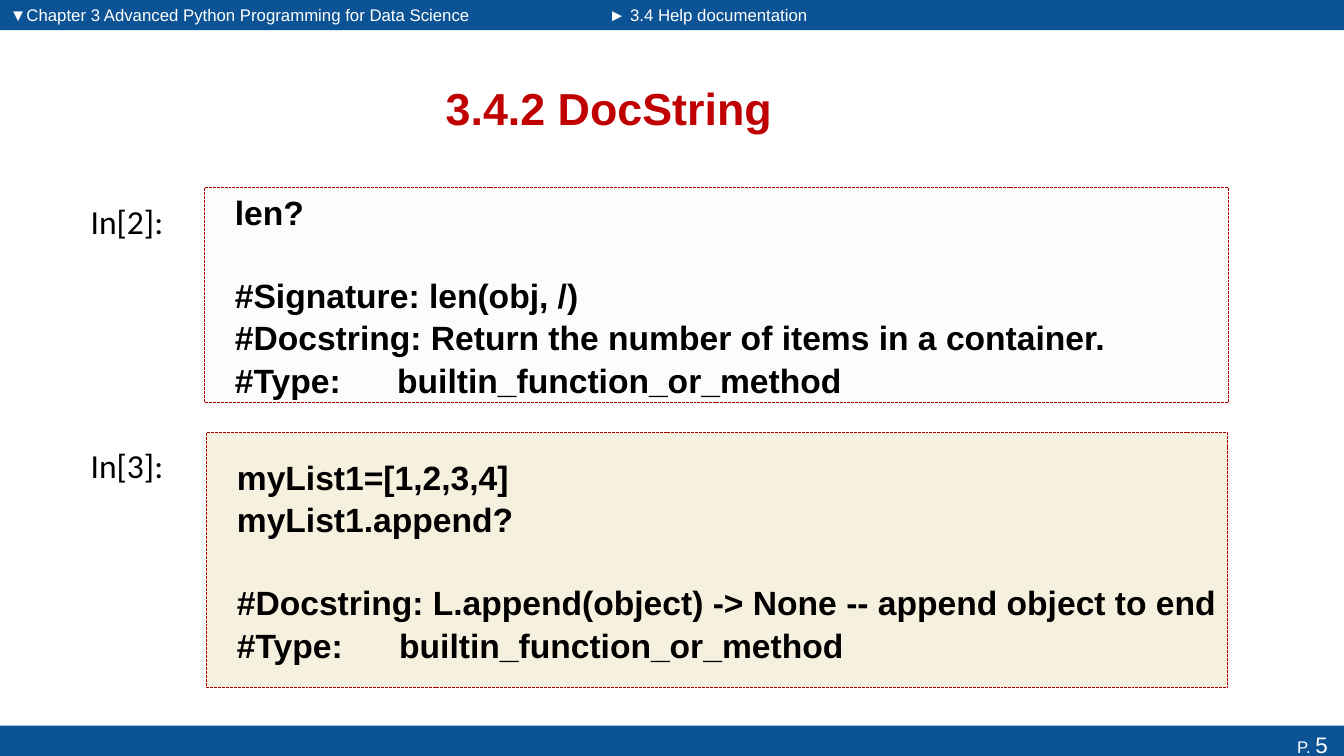
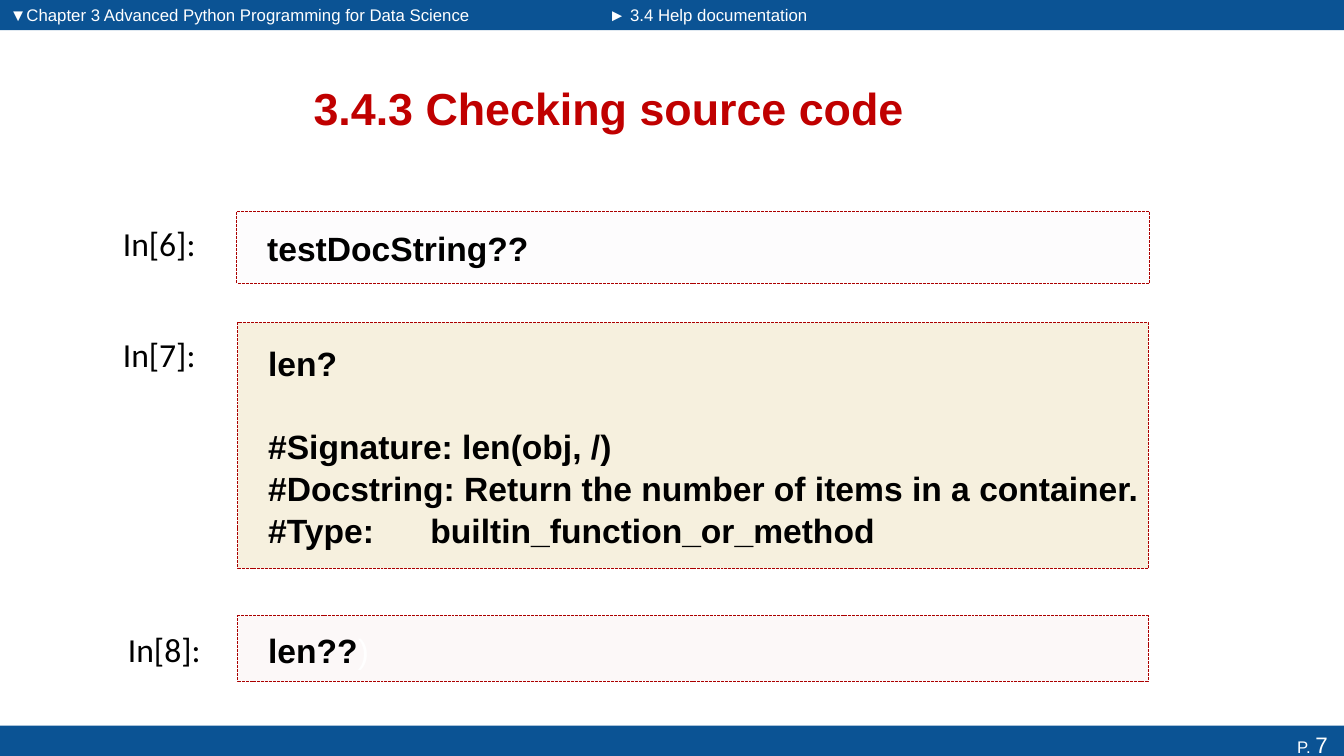
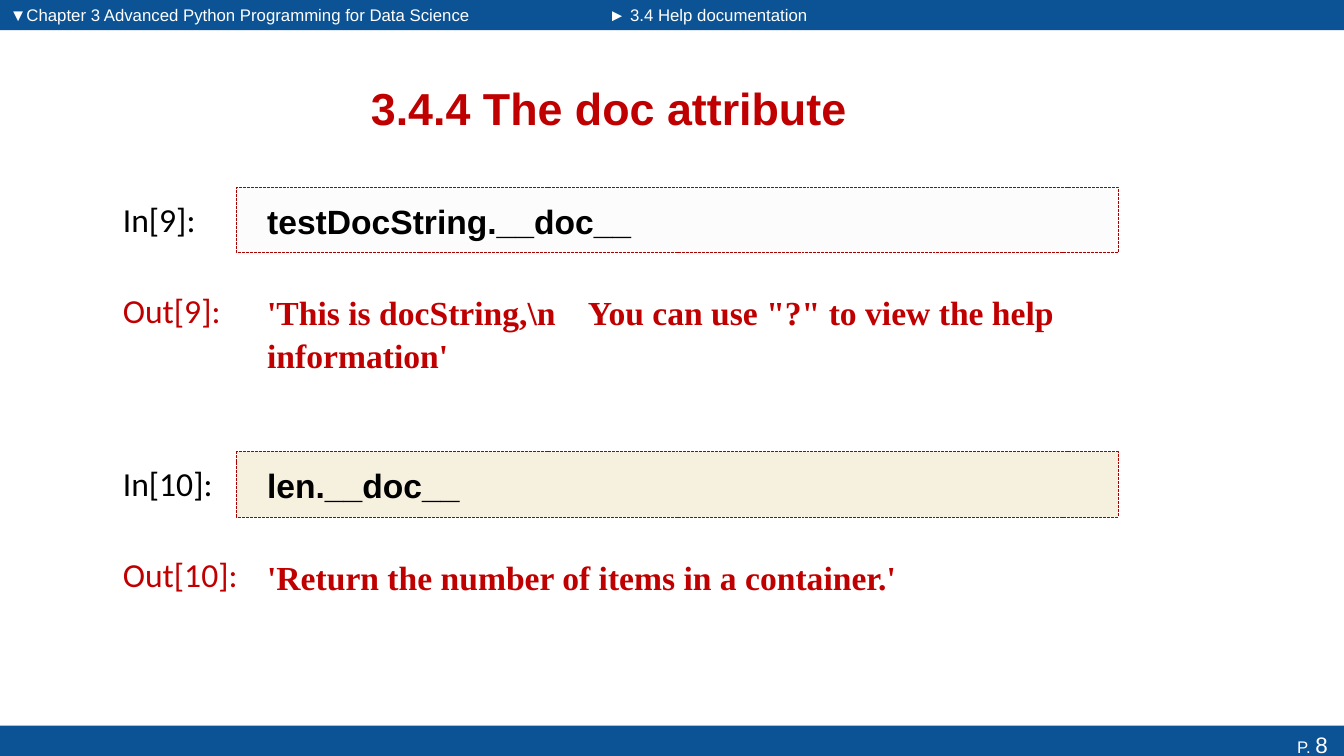
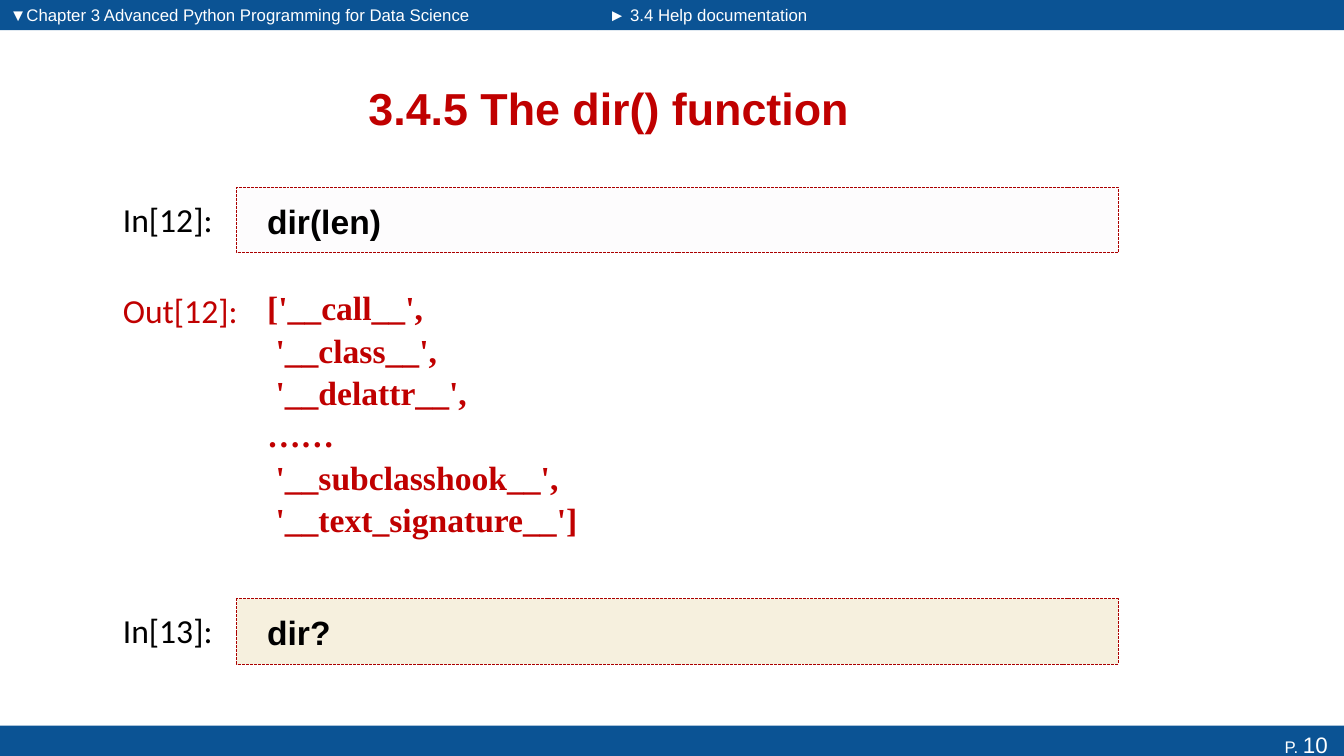
"""Build four slides on Python help documentation."""
from dataclasses import dataclass

from lxml import etree
from pptx import Presentation
from pptx.dml.color import RGBColor
from pptx.enum import dml, shapes, text
from pptx.oxml.ns import qn
from pptx import util as u

BLUE, RED, DARK_RED = "0B5394", "C00000", "AB0000"
BLACK, WHITE = "000000", "FFFFFF"
LILAC, GOLD, ROSE = "F1EEF4", "BF9000", "EDCDCB"
SANS, LABEL_FONT, SERIF = "Arial", "Calibri", "Times New Roman"
CHAPTER = "▼Chapter 3 Advanced Python Programming for Data Science"
SECTION = "► 3.4 Help documentation"
CODE_SIZE, LINE_SPACING, BLANK_LINE = 24, 1.05, 29
TAB_STOP = 1.61
BAND_SPLIT, BAND_HEIGHT = 5.93, 0.3
TOP, MIDDLE = text.MSO_ANCHOR.TOP, text.MSO_ANCHOR.MIDDLE
LEFT, CENTER, RIGHT = text.PP_ALIGN.LEFT, text.PP_ALIGN.CENTER, text.PP_ALIGN.RIGHT


@dataclass(frozen=True)
class Cell:
    """A notebook cell: label, box and lines; an empty line is a gap, no fill means output."""

    label: str
    left: float
    top: float
    width: float
    height: float
    lines: tuple[str, ...]
    fill: str = ""
    label_gap: float = 1.23
    label_drop: float = 0.06
    white_tail: str = ""


@dataclass(frozen=True)
class Page:
    """A titled slide with its page number and cells."""

    number: int
    title: str
    cells: tuple[Cell, ...]


def rgb(value: str) -> RGBColor:
    """Turn a hex string into a colour."""
    return RGBColor.from_string(value)


def add_rect(s, left: float, top: float, width: float, height: float, fill: str):
    """Add a plain filled rectangle."""
    sp = s.shapes.add_shape(shapes.MSO_SHAPE.RECTANGLE, u.Inches(left), u.Inches(top),
                            u.Inches(width), u.Inches(height))
    sp.shadow.inherit = False
    sp.fill.solid()
    sp.fill.fore_color.rgb = rgb(fill)
    sp.line.fill.background()
    return sp


def add_box(s, left: float, top: float, width: float, height: float):
    """Add an empty text box."""
    return s.shapes.add_textbox(u.Inches(left), u.Inches(top), u.Inches(width), u.Inches(height))


def set_frame(sp, anchor=TOP, left_inset: float = 0.1):
    """Set wrapping, anchor and left inset, and return the text frame."""
    tf = sp.text_frame
    tf.word_wrap = True
    tf.vertical_anchor = anchor
    tf.margin_left = u.Inches(left_inset)
    return tf


def add_run(p, content: str, size: float, font: str, color: str, bold: bool = False) -> None:
    """Add one formatted run."""
    r = p.add_run()
    r.text = content
    r.font.size = u.Pt(size)
    r.font.name = font
    r.font.color.rgb = rgb(color)
    r.font.bold = bold


def add_label(s, left: float, top: float, width: float, height: float, content: str, size: float,
              font: str, color: str, bold: bool = False, align=LEFT, anchor=TOP) -> None:
    """Add a text box holding one run."""
    p = set_frame(add_box(s, left, top, width, height), anchor).paragraphs[0]
    p.alignment = align
    add_run(p, content, size, font, color, bold)


def set_alpha(sp, percent: int) -> None:
    """Set the opacity of a solid fill."""
    color = sp.fill._xPr.find(qn("a:solidFill")).find(qn("a:srgbClr"))
    etree.SubElement(color, qn("a:alpha")).set("val", str(percent * 1000))


def add_tab_stop(p, position: float) -> None:
    """Give a paragraph one left tab stop."""
    tabs = etree.SubElement(p._p.get_or_add_pPr(), qn("a:tabLst"))
    tab = etree.SubElement(tabs, qn("a:tab"))
    tab.set("pos", str(u.Inches(position)))
    tab.set("algn", "l")


def add_cell(s, cell: Cell) -> None:
    """Draw a cell's label and its code or output."""
    font, color = (SANS, BLACK) if cell.fill else (SERIF, RED)
    add_label(s, cell.left - cell.label_gap, cell.top + cell.label_drop, 1.35, 0.5,
              cell.label, CODE_SIZE, LABEL_FONT, color)
    area = cell.left, cell.top, cell.width, cell.height
    if cell.fill:
        sp = add_rect(s, *area, cell.fill)
        set_alpha(sp, 13)
        sp.line.color.rgb = rgb(DARK_RED)
        sp.line.width = u.Pt(0.7)
        sp.line.dash_style = dml.MSO_LINE.SQUARE_DOT
    else:
        sp = add_box(s, *area)
    tf = set_frame(sp, MIDDLE, 0.3)
    p, gap = tf.paragraphs[0], 0
    for i, line in enumerate(cell.lines):
        if not line:
            gap = BLANK_LINE
            continue
        p = tf.add_paragraph() if i else p
        p.alignment = LEFT
        p.line_spacing = LINE_SPACING
        p.space_before = u.Pt(gap)
        gap = 0
        if "\t" in line:
            add_tab_stop(p, TAB_STOP)
        add_run(p, line, CODE_SIZE, font, color, True)
    if cell.white_tail:
        add_run(p, cell.white_tail, CODE_SIZE, font, WHITE)


def add_frame(s, page: Page) -> None:
    """Draw the bands, breadcrumbs, page number and title."""
    add_rect(s, 0, 0, BAND_SPLIT, BAND_HEIGHT, BLUE)
    footer = add_rect(s, 0, 7.2, 13.33, BAND_HEIGHT, BLUE)
    add_rect(s, BAND_SPLIT, 0, 13.33 - BAND_SPLIT, BAND_HEIGHT, BLUE)
    p = set_frame(footer).paragraphs[0]
    p.alignment = RIGHT
    add_run(p, "P. ", 12, SANS, WHITE)
    add_run(p, f"{page.number} ", 16, SANS, WHITE)
    add_label(s, 0, 0, 4.83, 0.29, CHAPTER, 12, SANS, WHITE)
    add_label(s, 5.94, 0, 2.78, 0.29, SECTION, 12, SANS, WHITE)
    add_label(s, 0.68, 0.62, 10.72, 0.9, page.title, 32, SANS, RED, True, CENTER, MIDDLE)


TYPE_LINE = "#Type:\tbuiltin_function_or_method"
LEN_HELP = ("len?", "", "#Signature: len(obj, /)",
            "#Docstring: Return the number of items in a container.", TYPE_LINE)
APPEND_HELP = ("myList1=[1,2,3,4]", "myList1.append?", "",
               "#Docstring: L.append(object) -> None -- append object to end", TYPE_LINE)
DOC_OUTPUT = "'This is docString,\\n    You can use \"?\" to view the help information'"
DIR_OUTPUT = ("['__call__',", " '__class__',", " '__delattr__',", "……",
              " '__subclasshook__',", " '__text_signature__']")

PAGES = (
    Page(5, "3.4.2 DocString", (
        Cell("In[2]:", 2.03, 1.86, 10.15, 2.13, LEN_HELP, LILAC, label_drop=0.08),
        Cell("In[3]:", 2.05, 4.29, 10.13, 2.53, APPEND_HELP, GOLD, 1.25, 0.07),
    )),
    Page(7, "3.4.3 Checking source code", (
        Cell("In[6]:", 2.35, 2.1, 9.05, 0.71, ("testDocString??",), LILAC),
        Cell("In[7]:", 2.36, 3.2, 9.03, 2.44, LEN_HELP, GOLD, 1.24),
        Cell("In[8]:", 2.36, 6.11, 9.03, 0.65, ("len??",), ROSE, 1.19, 0.08, ")"),
    )),
    Page(8, "3.4.4 The doc attribute", (
        Cell("In[9]:", 2.35, 1.86, 8.74, 0.65, ("testDocString.__doc__",), LILAC),
        Cell("Out[9]:", 2.35, 2.77, 8.74, 1.06, (DOC_OUTPUT,)),
        Cell("In[10]:", 2.35, 4.48, 8.74, 0.65, ("len.__doc__",), GOLD),
        Cell("Out[10]:", 2.35, 5.39, 8.74, 0.65,
             ("'Return the number of items in a container.'",)),
    )),
    Page(10, "3.4.5 The dir() function", (
        Cell("In[12]:", 2.35, 1.86, 8.74, 0.65, ("dir(len)",), LILAC),
        Cell("Out[12]:", 2.35, 2.77, 8.74, 2.64, DIR_OUTPUT),
        Cell("In[13]:", 2.35, 5.94, 8.74, 0.65, ("dir?",), GOLD),
    )),
)


def main() -> None:
    """Build and save the presentation."""
    prs = Presentation()
    prs.slide_width, prs.slide_height = u.Inches(13.33), u.Inches(7.5)
    for page in PAGES:
        s = prs.slides.add_slide(prs.slide_layouts[6])
        add_frame(s, page)
        for cell in page.cells:
            add_cell(s, cell)
    prs.save("out.pptx")


if __name__ == "__main__":
    main()
